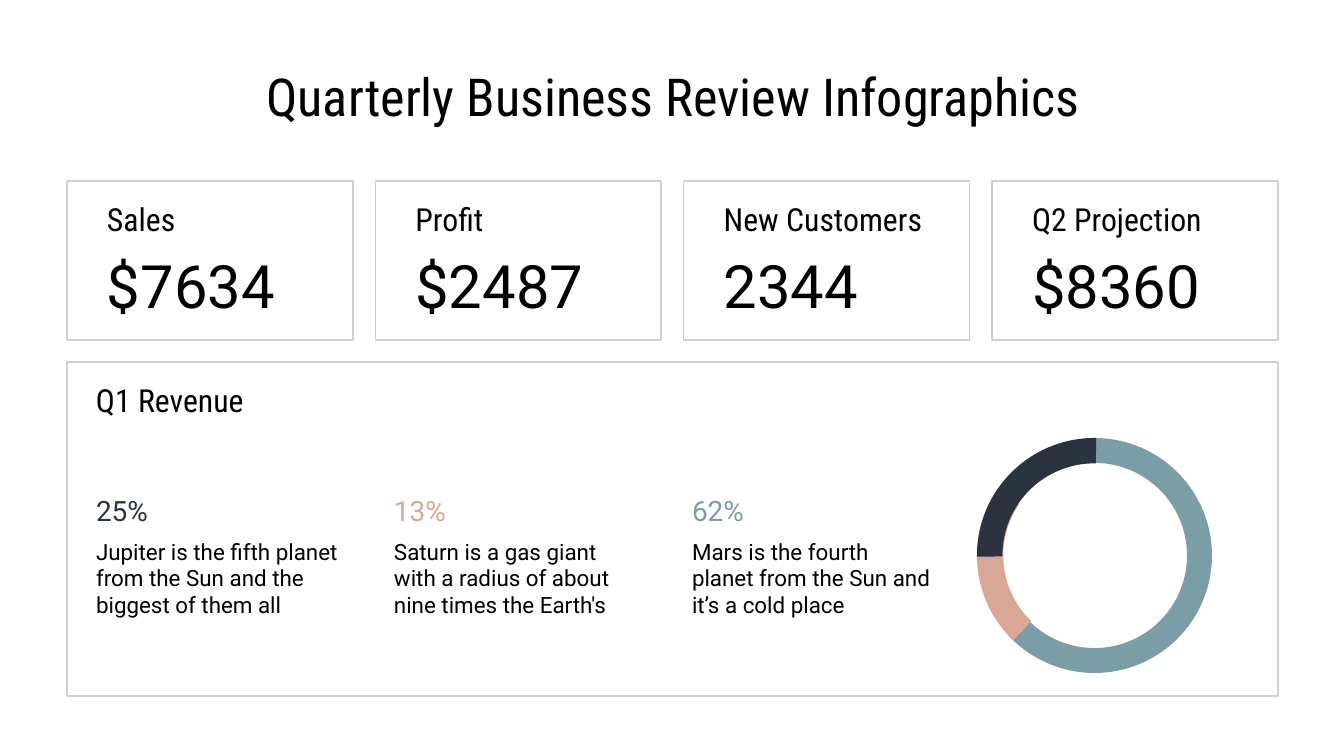
from dataclasses import dataclass

from pptx import Presentation
from pptx.dml.color import RGBColor
from pptx.enum.shapes import MSO_SHAPE as SHAPE
from pptx.enum.text import MSO_ANCHOR as ANCHOR, PP_ALIGN as ALIGN
from pptx.util import Emu, Pt


@dataclass(frozen=True)
class Theme:
    ink: str = "000000"
    border: str = "CFD0D3"
    navy: str = "2C3340"
    rose: str = "D9A796"
    teal: str = "7B9EA6"
    body_font: str = "Roboto"
    head_font: str = "Roboto Condensed"
    title_size: int = 28
    figure_size: int = 32
    label_size: int = 17
    percent_size: int = 15
    body_size: int = 12
    border_width: float = 0.83


THEME = Theme()
EMU_PER_PX = 9144000 / 1344
INSET = 13

LEFT, RIGHT = 67, 1278
CARD_TOP, CARD_W, CARD_H = 181, 286, 159
PANEL_TOP, PANEL_H = 362, 334
COLUMN_LEFT, COLUMN_W, COLUMN_PITCH = 83, 270, 298
RING_BOX = (977, 438, 235, 235)

CARDS = [
    ("Sales", "$7634"),
    ("Profit", "$2487"),
    ("New Customers", "2344"),
    ("Q2 Projection", "$8360"),
]
SHARES = [
    ("25%", THEME.navy, "Jupiter is the fifth planet from the Sun and the biggest of them all"),
    ("13%", THEME.rose, "Saturn is a gas giant with a radius of about nine times the Earth's"),
    ("62%", THEME.teal, "Mars is the fourth planet from the Sun and it’s a cold place"),
]
# Colour, start and end angle in degrees clockwise from the right, thickness
RING_ARCS = [
    (THEME.teal, 269.24, 137.33, 0.106),
    (THEME.rose, 133.8, 214.06, 0.112),
    (THEME.navy, 179.4, 270.84, 0.108),
]


def px(n):
    return Emu(round(n * EMU_PER_PX))


def rgb(color):
    return RGBColor.from_string(color)


def add_text(slide, box, text, size, font=THEME.body_font, color=THEME.ink, align=ALIGN.LEFT):
    tf = slide.shapes.add_textbox(*map(px, box)).text_frame
    tf.word_wrap = True
    tf.vertical_anchor = ANCHOR.MIDDLE
    tf.margin_left = tf.margin_right = tf.margin_top = tf.margin_bottom = px(INSET)
    p = tf.paragraphs[0]
    p.alignment = align
    r = p.add_run()
    r.text = text
    r.font.size = Pt(size)
    r.font.name = font
    r.font.color.rgb = rgb(color)


def add_frame(slide, box):
    sp = slide.shapes.add_shape(SHAPE.RECTANGLE, *map(px, box))
    sp.shadow.inherit = False
    sp.fill.background()
    sp.line.color.rgb = rgb(THEME.border)
    sp.line.width = Pt(THEME.border_width)


def add_card(slide, x, label, figure):
    add_frame(slide, (x, CARD_TOP, CARD_W, CARD_H))
    text_x, text_w = x + 27, 232
    add_text(slide, (text_x, 200, text_w, 38), label, THEME.label_size, THEME.head_font)
    add_text(slide, (text_x, 249, text_w, 71), figure, THEME.figure_size)


def add_share(slide, x, percent, color, note):
    add_text(slide, (x, 491, COLUMN_W, 39), percent, THEME.percent_size, color=color)
    add_text(slide, (x, 533, COLUMN_W, 90), note, THEME.body_size)


def add_ring(slide):
    group = slide.shapes.add_group_shape()
    for color, start, end, thickness in RING_ARCS:
        sp = group.shapes.add_shape(SHAPE.BLOCK_ARC, *map(px, RING_BOX))
        sp.shadow.inherit = False
        # Angles are stored in 1/60000 degree, adjustments in 1/100000
        sp.adjustments[0] = start * 0.6
        sp.adjustments[1] = end * 0.6
        sp.adjustments[2] = thickness
        sp.fill.solid()
        sp.fill.fore_color.rgb = rgb(color)
        sp.line.fill.background()


def main():
    prs = Presentation()
    prs.slide_width, prs.slide_height = px(1344), px(756)
    slide = prs.slides.add_slide(prs.slide_layouts[6])

    add_text(slide, (105, 60, 1136, 71), "Quarterly Business Review Infographics",
             THEME.title_size, THEME.head_font, align=ALIGN.CENTER)

    card_pitch = (RIGHT - LEFT - CARD_W) / (len(CARDS) - 1)
    for i, card in enumerate(CARDS):
        add_card(slide, LEFT + i * card_pitch, *card)

    add_frame(slide, (LEFT, PANEL_TOP, RIGHT - LEFT, PANEL_H))
    add_text(slide, (COLUMN_LEFT, 380, 180, 39), "Q1 Revenue",
             THEME.label_size, THEME.head_font)
    for i, share in enumerate(SHARES):
        add_share(slide, COLUMN_LEFT + i * COLUMN_PITCH, *share)
    add_ring(slide)

    prs.save("out.pptx")


if __name__ == "__main__":
    main()
